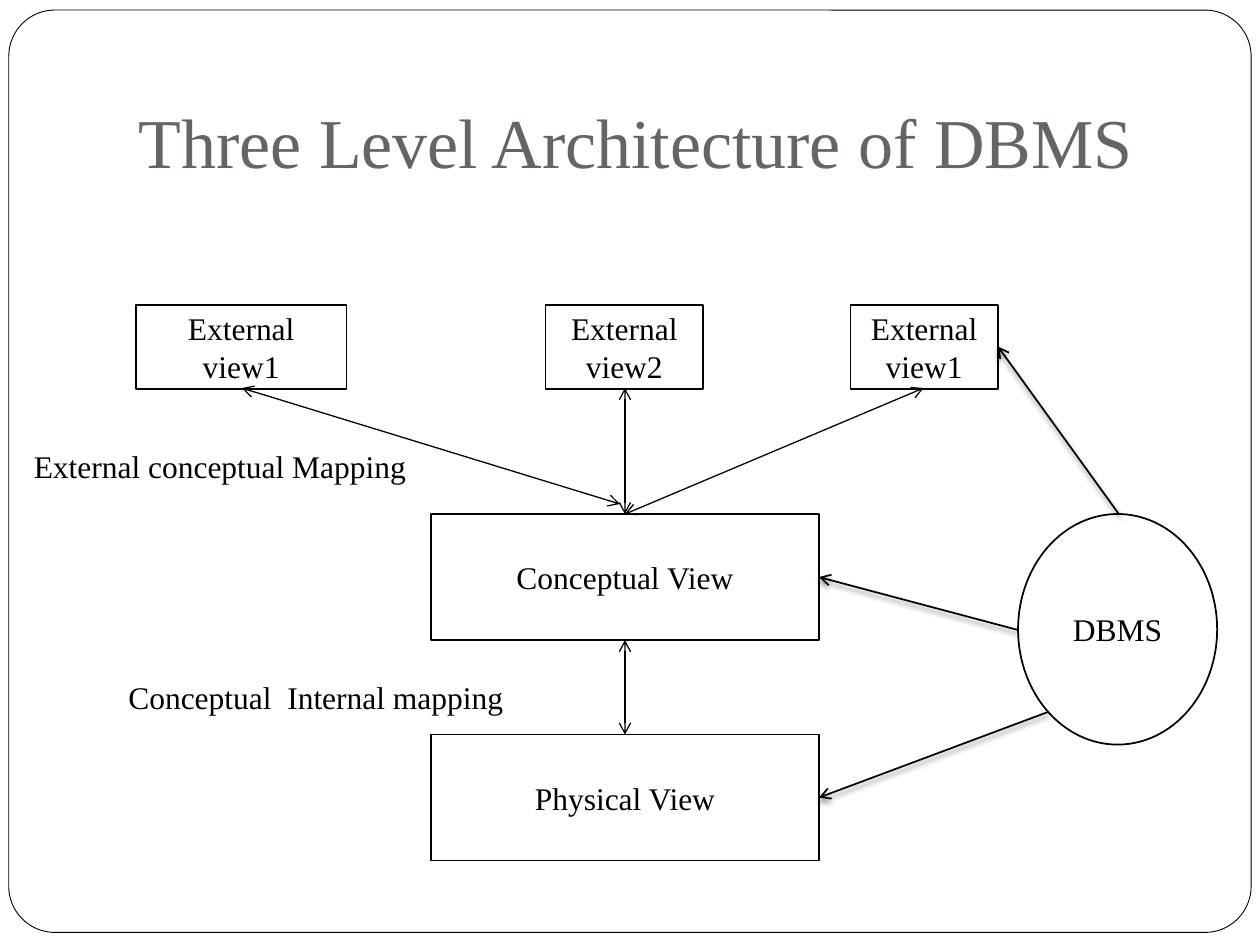
"""Build the slide on the three level architecture of a DBMS."""
import pptx
import pptx.util
import pptx.dml.color
import pptx.enum.shapes
import pptx.enum.text
import pptx.oxml
import pptx.oxml.ns

Inches, Pt = pptx.util.Inches, pptx.util.Pt
KIND = pptx.enum.shapes.MSO_SHAPE
ALIGN = pptx.enum.text.PP_ALIGN
ANCHOR = pptx.enum.text.MSO_ANCHOR
FONT, BLACK, WHITE, GREY = "Times New Roman", "000000", "FFFFFF", "696464"

TITLE = "Three Level Architecture of DBMS"
NODES = [
    ("External view1", KIND.RECTANGLE, (1.08, 2.42, 1.67, 0.67)),
    ("External view2", KIND.RECTANGLE, (4.33, 2.42, 1.25, 0.67)),
    ("External view1", KIND.RECTANGLE, (6.75, 2.42, 1.17, 0.67)),
    ("Conceptual View", KIND.RECTANGLE, (3.42, 4.08, 3.08, 1)),
    ("Physical View", KIND.RECTANGLE, (3.42, 5.83, 3.08, 1)),
    ("DBMS", KIND.OVAL, (8.08, 4.08, 1.58, 1.83)),
]
LABELS = [
    ("External conceptual Mapping", (0.17, 3.5, 3.33, 0.4)),
    ("Conceptual  Internal mapping", (0.92, 5.33, 3.75, 0.4)),
]
MAPS = [
    ((7.33, 3.08), (4.96, 4.08)),
    ((4.96, 3.08), (4.96, 4.08)),
    ((4.92, 4), (1.92, 3.08)),
    ((4.96, 5.08), (4.96, 5.83)),
]
LINKS = [
    ((8.88, 4.08), (7.92, 2.75)),
    ((8.08, 5), (6.5, 4.58)),
    ((8.32, 5.65), (6.5, 6.33)),
]
SHADOW = (
    '<a:outerShdw blurRad="38100" dist="25400" dir="5400000" rotWithShape="0">'
    '<a:srgbClr val="000000"><a:alpha val="50000"/></a:srgbClr></a:outerShdw>'
)


def color(code):
    return pptx.dml.color.RGBColor.from_string(code)


def place(box):
    return [Inches(side) for side in box]


def write(shape, text, size=18, code=BLACK, align=ALIGN.LEFT):
    frame = shape.text_frame
    frame.text = text
    frame.word_wrap = True
    para = frame.paragraphs[0]
    para.alignment = align
    para.font.name, para.font.size = FONT, Pt(size)
    para.font.color.rgb = color(code)
    return frame


def draw(kind, box, width):
    shape = slide.shapes.add_shape(kind, *place(box))
    shape.shadow.inherit = False
    shape.fill.solid()
    shape.fill.fore_color.rgb = color(WHITE)
    shape.line.color.rgb = color(BLACK)
    shape.line.width = Pt(width)
    return shape


def join(start, end, width, heads, effect=""):
    link = slide.shapes.add_connector(
        pptx.enum.shapes.MSO_CONNECTOR.STRAIGHT, *place(start + end))
    link.line.color.rgb = color(BLACK)
    link.line.width = Pt(width)
    space = pptx.oxml.ns.nsdecls("a")
    line = link.line._get_or_add_ln()
    for head in heads:
        line.append(pptx.oxml.parse_xml(f'<a:{head} {space} type="arrow"/>'))
    link._element.spPr.append(pptx.oxml.parse_xml(
        f"<a:effectLst {space}>{effect}</a:effectLst>"))


deck = pptx.Presentation()
deck.slide_width, deck.slide_height = Inches(10), Inches(7.5)
slide = deck.slides.add_slide(deck.slide_layouts[5])

border = draw(KIND.ROUNDED_RECTANGLE, (0.07, 0.08, 9.86, 7.32), 0.5)
border.adjustments[0] = 0.05
slide.shapes._spTree.insert(2, border._element)

title = slide.shapes.title
title.left, title.top, title.width, title.height = place((1, 0.3, 8.5, 1.25))
frame = write(title, TITLE, 40, GREY)
frame.vertical_anchor = ANCHOR.BOTTOM
frame.margin_bottom = Inches(0.1)

for text, kind, box in NODES:
    frame = write(draw(kind, box, 1), text, align=ALIGN.CENTER)
    frame.vertical_anchor = ANCHOR.MIDDLE
for text, box in LABELS:
    write(slide.shapes.add_textbox(*place(box)), text)
for start, end in MAPS:
    join(start, end, 0.75, ("headEnd", "tailEnd"))
for start, end in LINKS:
    join(start, end, 1, ("tailEnd",), SHADOW)

deck.save("out.pptx")
